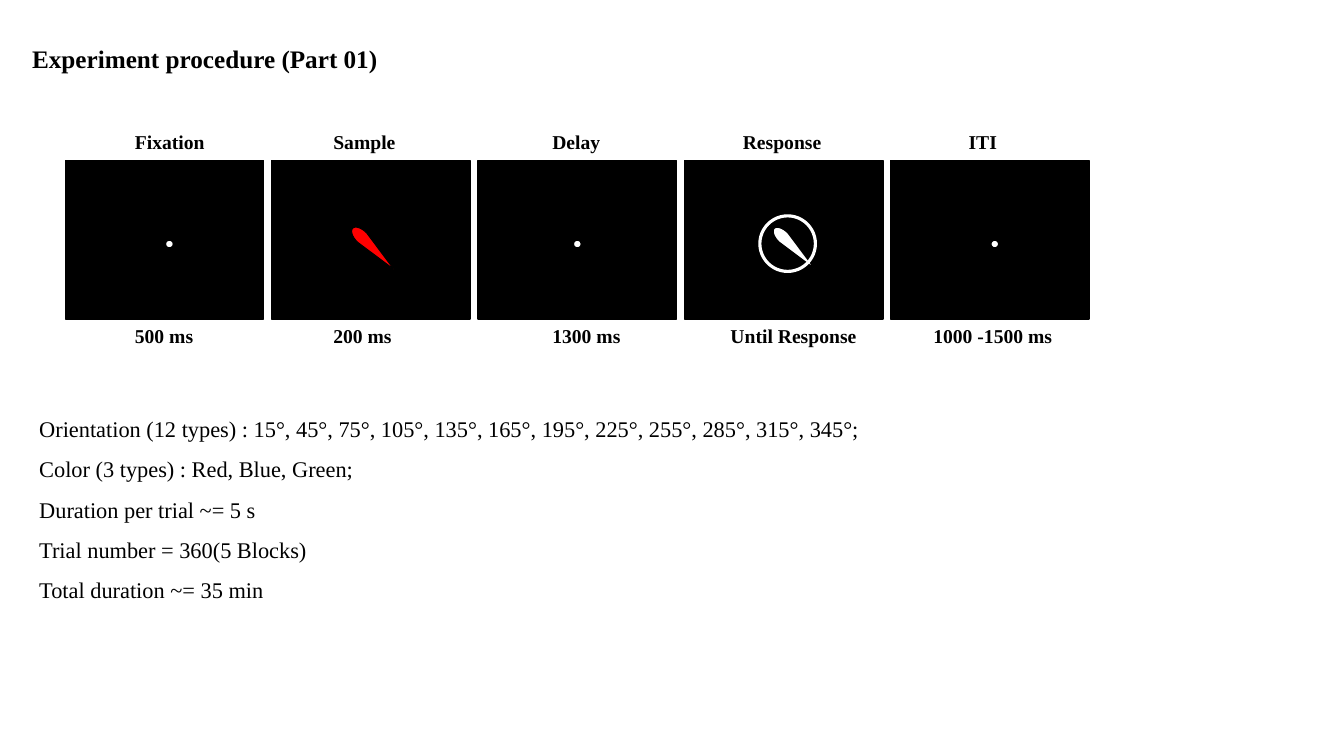
import math
from dataclasses import dataclass

import pptx
import pptx.dml.color
import pptx.enum.shapes
import pptx.enum.text
import pptx.util

Cm = pptx.util.Cm
Pt = pptx.util.Pt
MSO_SHAPE = pptx.enum.shapes.MSO_SHAPE


@dataclass(frozen=True)
class Theme:
    font: str = "Times New Roman"
    black: str = "000000"
    white: str = "FFFFFF"
    red: str = "FF0000"
    title_size: int = 18
    body_size: int = 16
    label_size: int = 14


class SlideBuilder:
    def __init__(self, slide, theme):
        self.slide = slide
        self.theme = theme

    def paint(self, shape, fill, line, line_width):
        shape.shadow.inherit = False
        if fill:
            shape.fill.solid()
            shape.fill.fore_color.rgb = pptx.dml.color.RGBColor.from_string(fill)
        else:
            shape.fill.background()
        shape.line.color.rgb = pptx.dml.color.RGBColor.from_string(line)
        shape.line.width = Pt(line_width)

    def shape(self, kind, left, top, width, height, fill, line, line_width=1):
        shape = self.slide.shapes.add_shape(kind, Cm(left), Cm(top), Cm(width), Cm(height))
        self.paint(shape, fill, line, line_width)

    def text(self, lines, left, top, width, height, size, bold=False, spacing=1.0):
        box = self.slide.shapes.add_textbox(Cm(left), Cm(top), Cm(width), Cm(height))
        frame = box.text_frame
        frame.word_wrap = True
        frame.auto_size = pptx.enum.text.MSO_AUTO_SIZE.SHAPE_TO_FIT_TEXT
        frame.text = "\n".join(lines)
        for paragraph in frame.paragraphs:
            paragraph.line_spacing = spacing
            paragraph.font.name = self.theme.font
            paragraph.font.size = Pt(size)
            paragraph.font.bold = bold
            paragraph.font.color.rgb = pptx.dml.color.RGBColor.from_string(self.theme.black)

    def screen(self, left):
        self.shape(MSO_SHAPE.RECTANGLE, left, SCREEN_TOP, SCREEN_WIDTH, SCREEN_HEIGHT,
                   self.theme.black, self.theme.black)

    def fixation_dot(self, left):
        self.shape(MSO_SHAPE.OVAL, left, 6.05, 0.2, 0.2, self.theme.white, self.theme.black)

    def pointer(self, center_x, fill, line_width):
        """Draw a half-ellipse head tapering to a tip, turned to the lower right."""
        width, height, head, center_y = 0.33, 1.47, 0.33, 6.27
        top = center_y - height / 2
        arc = [(center_x - width / 2 * math.cos(math.pi * step / 16),
                top + head * (1 - math.sin(math.pi * step / 16))) for step in range(17)]
        points = [(Cm(x), Cm(y)) for x, y in arc + [(center_x, top + height)]]
        builder = self.slide.shapes.build_freeform(*points[0])
        builder.add_line_segments(points[1:], close=True)
        shape = builder.convert_to_shape()
        shape.rotation = 315
        self.paint(shape, fill, self.theme.black, line_width)

    def response_ring(self, left):
        self.shape(MSO_SHAPE.OVAL, left, 5.44, 1.4, 1.4, None, self.theme.white, 2.25)


SCREEN_LEFT, SCREEN_TOP = 1.65, 4.04
SCREEN_WIDTH, SCREEN_HEIGHT = 5.0, 4.0
SCREEN_PITCH = 5.2

# name, name left, name width, duration, duration left, duration width
PHASES = [
    ("Fixation", 3.15, 2.31, "500 ms", 3.15, 2.16),
    ("Sample", 8.15, 2.64, "200 ms", 8.15, 2.16),
    ("Delay", 13.67, 2.26, "1300 ms", 13.67, 2.49),
    ("Response", 18.47, 3.05, "Until Response", 18.16, 3.84),
    ("ITI", 24.16, 1.32, "1000 -1500 ms", 23.27, 3.91),
]

DETAILS = [
    "Orientation (12 types) : 15°, 45°, 75°, 105°, 135°, 165°, 195°, 225°, 255°, 285°, 315°, 345°;",
    "Color (3 types) : Red, Blue, Green;",
    "Duration per trial ~= 5 s",
    "Trial number = 360(5 Blocks)",
    "Total duration ~= 35 min",
]


def main():
    presentation = pptx.Presentation()
    presentation.slide_width = Cm(33.87)
    presentation.slide_height = Cm(19.05)
    theme = Theme()
    builder = SlideBuilder(presentation.slides.add_slide(presentation.slide_layouts[6]), theme)

    builder.text(DETAILS, 0.74, 10.0, 24.56, 5.38, theme.body_size, spacing=1.5)
    builder.text(["Experiment procedure (Part 01)"], 0.56, 0.97, 9.42, 1.02,
                 theme.title_size, bold=True)

    for index, (name, name_left, name_width, duration, time_left, time_width) in enumerate(PHASES):
        builder.screen(SCREEN_LEFT + index * SCREEN_PITCH)
        builder.text([name], name_left, 3.15, name_width, 0.86, theme.label_size, bold=True)
        builder.text([duration], time_left, 8.05, time_width, 0.86, theme.label_size, bold=True)

    for dot_left in (4.17, 14.45, 24.97):
        builder.fixation_dot(dot_left)
    builder.pointer(9.41, theme.red, 0)
    builder.pointer(20.03, theme.white, 1)
    builder.response_ring(19.15)

    presentation.save("out.pptx")


if __name__ == "__main__":
    main()
